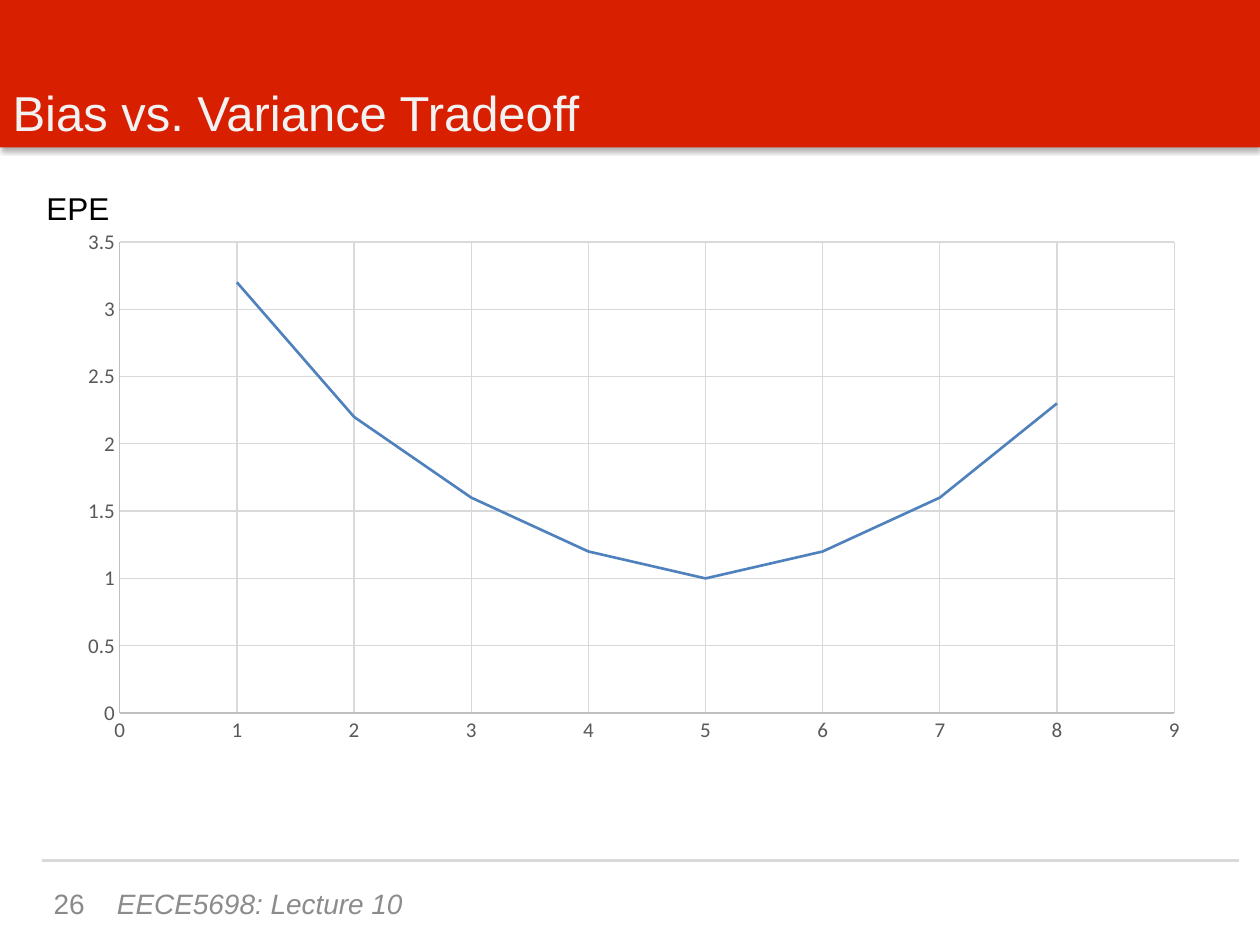
from lxml import etree
from pptx import Presentation
from pptx.chart.data import XyChartData
from pptx.dml.color import RGBColor
from pptx.enum.chart import XL_CHART_TYPE, XL_TICK_MARK
from pptx.enum.shapes import MSO_CONNECTOR, MSO_SHAPE
from pptx.enum.text import MSO_ANCHOR, MSO_AUTO_SIZE, PP_ALIGN
from pptx.oxml import parse_xml
from pptx.oxml.ns import nsdecls, qn
from pptx.util import Inches, Pt

RED = RGBColor(0xD8, 0x1F, 0x00)
BLUE = RGBColor(0x4F, 0x81, 0xBD)
BLACK = RGBColor(0x00, 0x00, 0x00)
DARK = RGBColor(0x59, 0x59, 0x59)
GREY = RGBColor(0x8C, 0x8C, 0x8C)
NUMBER_GREY = RGBColor(0x89, 0x89, 0x89)
AXIS = RGBColor(0xBF, 0xBF, 0xBF)
RULE = RGBColor(0xD9, 0xD9, 0xD9)
PALE = RGBColor(0xF2, 0xF2, 0xF2)
SCATTER = XL_CHART_TYPE.XY_SCATTER_SMOOTH_NO_MARKERS
NO_TICK = XL_TICK_MARK.NONE
LEFT, RIGHT = PP_ALIGN.LEFT, PP_ALIGN.RIGHT
TOP, MIDDLE, BOTTOM = MSO_ANCHOR.TOP, MSO_ANCHOR.MIDDLE, MSO_ANCHOR.BOTTOM

prs = Presentation()
prs.slide_width, prs.slide_height = Inches(10), Inches(7.5)
W, H = prs.slide_width, prs.slide_height
BANNER_H = Inches(1.17)
s = prs.slides.add_slide(prs.slide_layouts[5])


def write(sp, text, size, color, anchor, align=LEFT, italic=False):
    tf = sp.text_frame
    tf.text = text
    tf.word_wrap = True
    tf.auto_size = MSO_AUTO_SIZE.NONE
    tf.vertical_anchor = anchor
    p = tf.paragraphs[0]
    p.alignment = align
    r = p.runs[0]
    r.font.name = "Arial"
    r.font.size = Pt(size)
    r.font.italic = italic
    r.font.color.rgb = color


banner = s.shapes.add_shape(MSO_SHAPE.RECTANGLE, 0, 0, W, BANNER_H)
banner.fill.solid()
banner.fill.fore_color.rgb = RED
banner.line.fill.background()
banner.shadow.inherit = False
effects = banner._element.spPr.find(qn("a:effectLst"))
effects.append(parse_xml(
    f'<a:outerShdw {nsdecls("a")} blurRad="{Pt(3.1)}" dist="{Pt(1.8)}" dir="5400000" rotWithShape="0">'
    '<a:srgbClr val="000000"><a:alpha val="35000"/></a:srgbClr></a:outerShdw>'))

rule = s.shapes.add_connector(MSO_CONNECTOR.STRAIGHT, Inches(0.33), Inches(6.83), Inches(9.83), Inches(6.83))
rule.line.color.rgb = RULE
rule.line.width = Pt(2)
etree.SubElement(rule._element.spPr, qn("a:effectLst"))

data = XyChartData()
curve = data.add_series("Series 1")
for x, y in enumerate([3.2, 2.2, 1.6, 1.2, 1, 1.2, 1.6, 2.3], 1):
    curve.add_data_point(x, y)
chart = s.shapes.add_chart(SCATTER, Inches(0.5), Inches(1.75), Inches(9), Inches(4.25), data).chart
chart.has_title = False
chart.has_legend = False
chart.font.name = "Calibri"
chart.font.size = Pt(10)
chart.font.color.rgb = BLACK
plot = chart.plots[0]
plot.vary_by_categories = False
series = plot.series[0]
series.smooth = True
series.format.line.color.rgb = BLUE
series.format.line.width = Pt(1.5)

for axis, top, step in ((chart.category_axis, 9, 1), (chart.value_axis, 3.5, 0.5)):
    axis.minimum_scale, axis.maximum_scale, axis.major_unit = 0, top, step
    axis.major_tick_mark = axis.minor_tick_mark = NO_TICK
    axis.has_major_gridlines = True
    axis.tick_labels.number_format = "General"
    axis.tick_labels.number_format_is_linked = False
    font = axis.tick_labels.font
    font.name = "Calibri"
    font.size = Pt(12)
    font.color.rgb = DARK
    for line, color in ((axis.format.line, AXIS), (axis.major_gridlines.format.line, RULE)):
        line.color.rgb = color
        line.width = Pt(0.75)

area = chart._chartSpace.chart.plotArea
for layout in area.findall(qn("c:layout")):
    area.remove(layout)
area.insert(0, parse_xml(
    f'<c:layout {nsdecls("c")}><c:manualLayout><c:layoutTarget val="inner"/>'
    '<c:xMode val="edge"/><c:yMode val="edge"/><c:x val="0.05"/><c:y val="0.04"/>'
    '<c:w val="0.93"/><c:h val="0.88"/></c:manualLayout></c:layout>'))

title = s.shapes.title
title.left, title.top, title.width, title.height = 0, 0, W, BANNER_H
write(title, "Bias vs. Variance Tradeoff", 28, PALE, BOTTOM)
s.shapes._spTree.append(title._element)

labels = [
    ("EECE5698: Lecture 10", 0.83, 6.97, 6.02, 16, GREY, MIDDLE, LEFT, True),
    ("26", 0.27, 6.97, 0.5, 16, NUMBER_GREY, MIDDLE, RIGHT, False),
    ("EPE", 0.27, 1.45, 0.71, 18, BLACK, TOP, LEFT, False),
]
for text, x, y, width, size, color, anchor, align, italic in labels:
    sp = s.shapes.add_textbox(Inches(x), Inches(y), Inches(width), Inches(0.4))
    write(sp, text, size, color, anchor, align, italic)
sp.text_frame.word_wrap = False
sp.text_frame.auto_size = MSO_AUTO_SIZE.SHAPE_TO_FIT_TEXT

prs.save("out.pptx")
